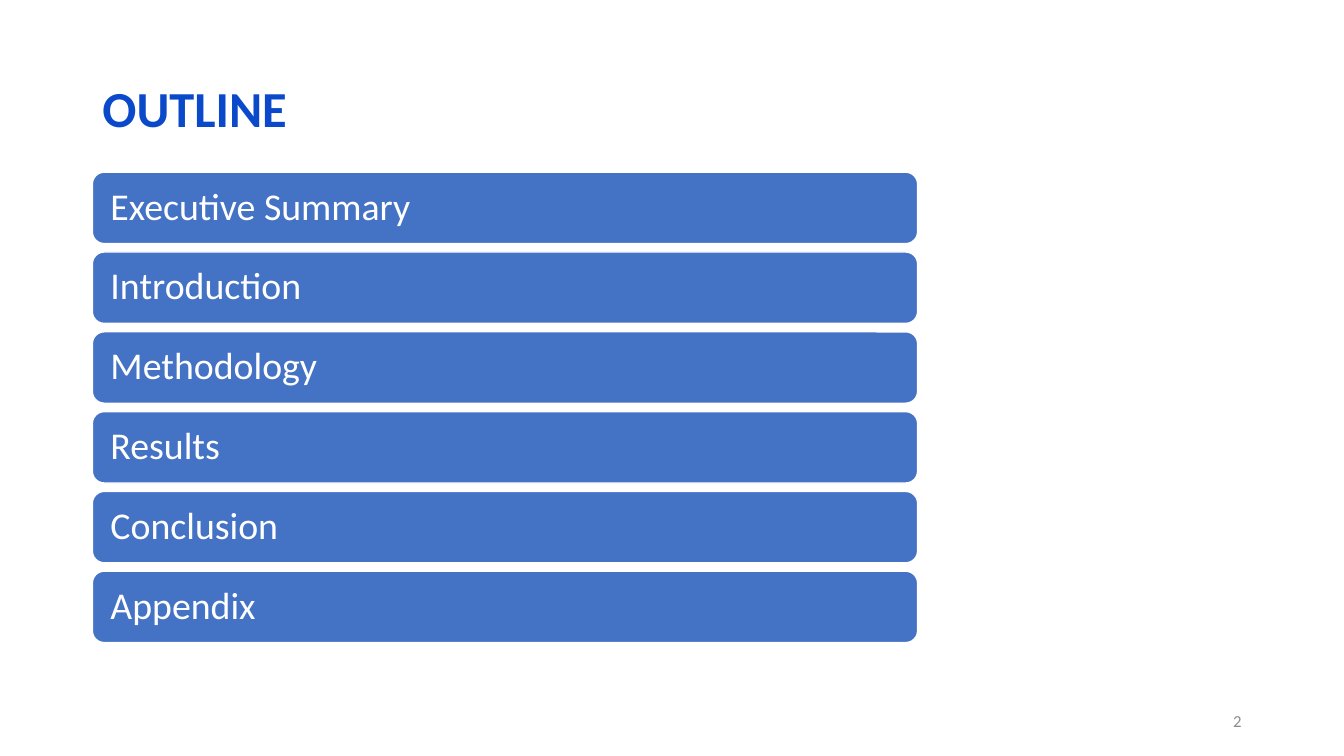
from pptx import Presentation
from pptx.dml.color import RGBColor
from pptx.enum.shapes import MSO_SHAPE
from pptx.enum.text import MSO_ANCHOR, MSO_AUTO_SIZE, PP_ALIGN
from pptx.util import Pt

PX = 9525  # EMU per pixel at 96 px to the inch
ROUNDED = MSO_SHAPE.ROUNDED_RECTANGLE
MIDDLE = MSO_ANCHOR.MIDDLE
NO_AUTOFIT = MSO_AUTO_SIZE.NONE
LEFT, RIGHT = PP_ALIGN.LEFT, PP_ALIGN.RIGHT

FONT = "Calibri"
WHITE = RGBColor(0xFF, 0xFF, 0xFF)
BAR_BLUE = RGBColor(0x44, 0x72, 0xC4)
TITLE_BLUE = RGBColor(0x0B, 0x49, 0xCB)
GRAY = RGBColor(0x8C, 0x8C, 0x8C)

SECTIONS = ["Executive Summary", "Introduction", "Methodology",
            "Results", "Conclusion", "Appendix"]
MARGIN_LEFT = 88
BAR_TOP, BAR_WIDTH, BAR_HEIGHT, BAR_PITCH = 164, 786, 68, 76
BAR_INSET = 14


def px(*lengths):
    return [length * PX for length in lengths]


def write(shape, text, size, color, bold=False, align=LEFT, spacing=0.9):
    """Put one vertically centred line of formatted text in a shape."""
    frame = shape.text_frame
    frame.text = text
    frame.word_wrap = True
    frame.auto_size = NO_AUTOFIT
    frame.vertical_anchor = MIDDLE
    paragraph = frame.paragraphs[0]
    paragraph.alignment = align
    paragraph.line_spacing = spacing
    font = paragraph.runs[0].font
    font.name, font.size, font.bold = FONT, Pt(size), bold
    font.color.rgb = color


def add_title(slide, text):
    title = slide.shapes.title
    title.left, title.top, title.width, title.height = px(MARGIN_LEFT, 77, 1104, 58)
    write(title, text, 36, TITLE_BLUE, bold=True)


def add_section_bar(slide, index, text):
    top = BAR_TOP + index * BAR_PITCH
    bar = slide.shapes.add_shape(
        ROUNDED, *px(MARGIN_LEFT, top, BAR_WIDTH, BAR_HEIGHT))
    bar.shadow.inherit = False
    bar.fill.solid()
    bar.fill.fore_color.rgb = BAR_BLUE
    bar.line.color.rgb = WHITE
    bar.line.width = Pt(1)
    write(bar, text, 27, WHITE)
    bar.text_frame.margin_left = bar.text_frame.margin_right = BAR_INSET * PX


def add_page_number(slide, number):
    box = slide.shapes.add_textbox(*px(904, 667, 288, 38))
    write(box, str(number), 12, GRAY, align=RIGHT, spacing=1.0)


def main():
    presentation = Presentation()
    presentation.slide_width, presentation.slide_height = px(1280, 720)
    slide = presentation.slides.add_slide(
        presentation.slide_layouts.get_by_name("Title Only"))
    add_title(slide, "OUTLINE")
    for index, section in enumerate(SECTIONS):
        add_section_bar(slide, index, section)
    add_page_number(slide, 2)
    presentation.save("out.pptx")


if __name__ == "__main__":
    main()
